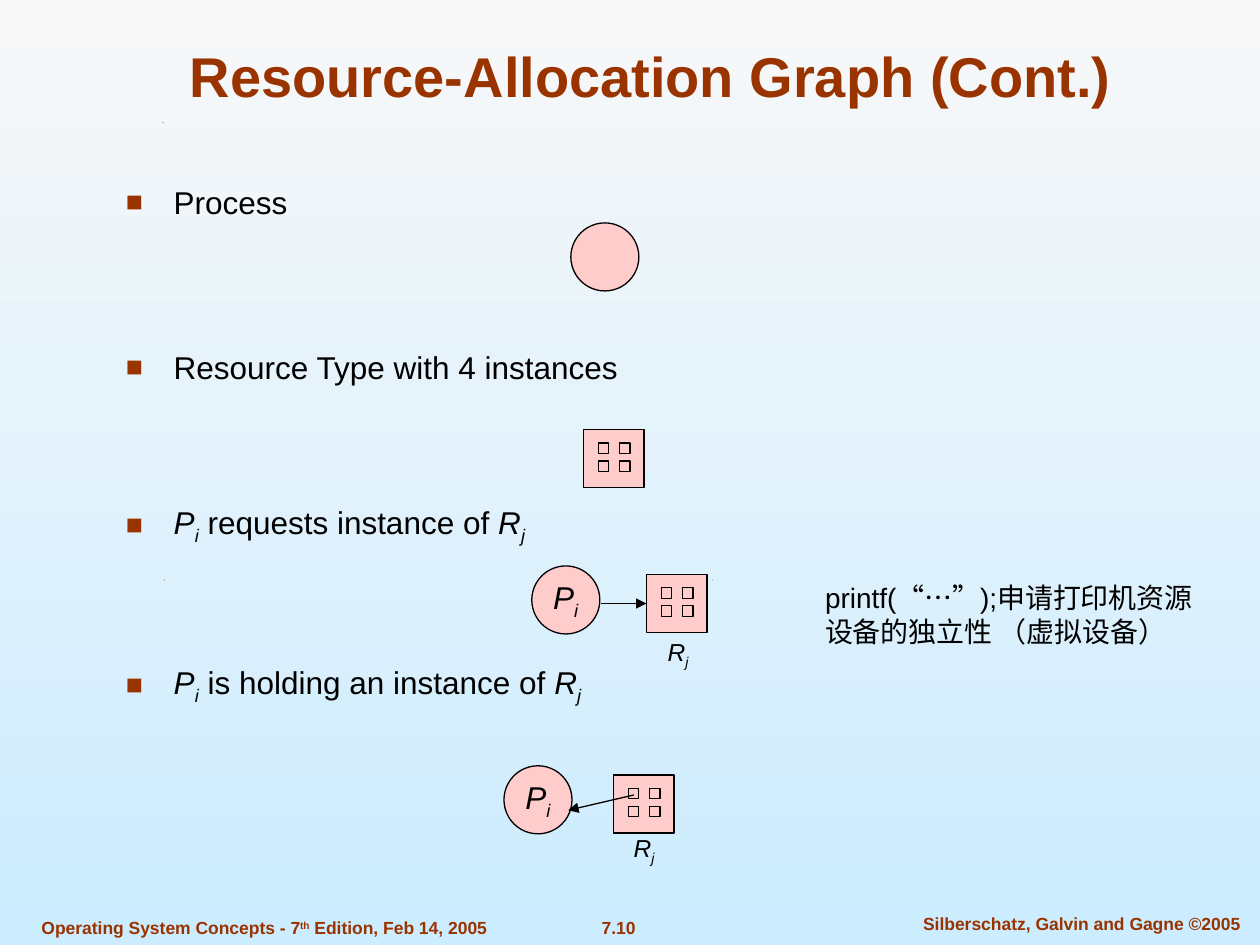
from lxml.etree import SubElement
from pptx import Presentation
from pptx.dml.color import RGBColor
from pptx.enum.shapes import MSO_CONNECTOR, MSO_SHAPE
from pptx.enum.text import MSO_ANCHOR, PP_ALIGN
from pptx.oxml.ns import qn
from pptx.util import Pt

COLORS = {"rust": "993300", "pink": "FFCCCC", "black": "000000",
          "sky_top": "F8F8F8", "sky_bottom": "CCECFF"}
CIRCLE = 38.9
BOX_WIDTH, BOX_HEIGHT = 34.6, 33.1
PROCESS = [("P", True, 0), ("i", True, -25)]
RESOURCE = [("R", True, 0), ("j", True, -25)]
BULLETS = [
    (0, [("Process", False, 0)]),
    (72.5, [("Resource Type with 4 instances", False, 0)]),
    (67.3, PROCESS + [(" requests instance of ", False, 0)] + RESOURCE),
    (66.7, PROCESS + [(" is holding an instance of ", False, 0)] + RESOURCE),
]


def color(name):
    """Return the named colour."""
    return RGBColor.from_string(COLORS[name])


def write(para, spans, size, ink="black", bold=False, align=PP_ALIGN.LEFT):
    """Write (text, italic, baseline) spans into a paragraph."""
    para.alignment = align
    for text, italic, baseline in spans:
        span = para.add_run()
        span.text = text
        values = {"name": "Arial", "size": Pt(size), "bold": bold, "italic": italic}
        for key, value in values.items():
            setattr(span.font, key, value)
        span.font.color.rgb = color(ink)
        if baseline:
            span.font._element.set("baseline", str(baseline * 1000))


def add_text(page, box, lines, size, wrap=False, anchor=MSO_ANCHOR.TOP, **look):
    """Add a text box with one paragraph per list of spans."""
    frame = page.shapes.add_textbox(*map(Pt, box)).text_frame
    frame.word_wrap = wrap
    frame.vertical_anchor = anchor
    for index, spans in enumerate(lines):
        para = frame.add_paragraph() if index else frame.paragraphs[0]
        write(para, spans, size, **look)
    return frame


def add_preset(shapes, kind, box):
    """Add a pink preset shape with a thin black outline."""
    shape = shapes.add_shape(kind, *map(Pt, box))
    shape.shadow.inherit = False
    shape.fill.solid()
    shape.fill.fore_color.rgb = color("pink")
    shape.line.color.rgb = color("black")
    shape.line.width = Pt(0.75)
    return shape


def add_process(page, left, top, spans=()):
    """Draw a process circle, labelled if spans are given."""
    circle = add_preset(page.shapes, MSO_SHAPE.OVAL, (left, top, CIRCLE, CIRCLE))
    frame = circle.text_frame
    frame.word_wrap = False
    frame.vertical_anchor = MSO_ANCHOR.MIDDLE
    write(frame.paragraphs[0], spans, 18, align=PP_ALIGN.CENTER)


def add_resource(page, left, top):
    """Draw a resource box holding a two by two grid of instances."""
    group = page.shapes.add_group_shape()
    frame = add_preset(group.shapes, MSO_SHAPE.RECTANGLE,
                       (left, top, BOX_WIDTH, BOX_HEIGHT))
    for row in range(2):
        for column in range(2):
            add_preset(group.shapes, MSO_SHAPE.RECTANGLE,
                       (left + 8.5 + 12.1 * column, top + 7.6 + 10.3 * row, 6, 6))
    return frame


def add_arrow(page, start, end):
    """Draw a thin black line with an arrowhead at its end."""
    arrow = page.shapes.add_connector(MSO_CONNECTOR.STRAIGHT, *map(Pt, start + end))
    arrow.line.color.rgb = color("black")
    arrow.line.width = Pt(0.75)
    SubElement(arrow.line._get_or_add_ln(), qn("a:tailEnd"), type="triangle")
    SubElement(arrow._element.spPr, qn("a:effectLst"))
    return arrow


def add_resource_label(page, left, top):
    """Label a resource box."""
    add_text(page, (left, top, 46, 26.6), [RESOURCE], 14,
             anchor=MSO_ANCHOR.MIDDLE, align=PP_ALIGN.CENTER)


def add_background(page):
    """Fill the page with a gradient from top to bottom."""
    fill = page.background.fill
    fill.gradient()
    fill.gradient_angle = 270
    for stop, name in zip(fill.gradient_stops, ("sky_top", "sky_bottom")):
        stop.color.rgb = color(name)


def add_specks(page):
    """Draw the tiny triangular specks of the page design."""
    for left, top in [(126.7, 390.7), (93.6, 331.2), (406.8, 331.2), (92.9, 69.8)]:
        builder = page.shapes.build_freeform(Pt(left), Pt(top + 0.5))
        builder.add_line_segments([(Pt(left + 0.5), Pt(top)),
                                   (Pt(left + 0.5), Pt(top + 0.5))])
        speck = builder.convert_to_shape()
        speck.shadow.inherit = False
        speck.fill.solid()
        speck.fill.fore_color.rgb = color("black")
        speck.line.fill.background()


def add_title(page, box):
    """Place and format the title."""
    title = page.shapes.title
    for key, value in zip(("left", "top", "width", "height"), box):
        setattr(title, key, Pt(value))
    title.text_frame.vertical_anchor = MSO_ANCHOR.BOTTOM
    write(title.text_frame.paragraphs[0],
          [("Resource-Allocation Graph (Cont.)", False, 0)], 32,
          ink="rust", bold=True, align=PP_ALIGN.CENTER)


def add_bullets(page, box):
    """Add the list of graph symbols, spaced to leave room for drawings."""
    frame = add_text(page, box, [spans for _, spans in BULLETS], 18, wrap=True)
    frame.margin_top = Pt(3.9)
    for para, (space, _) in zip(frame.paragraphs, BULLETS):
        para.space_before = Pt(space)
        props = para._p.get_or_add_pPr()
        props.set("marL", str(Pt(27.4)))
        props.set("indent", str(-Pt(27.4)))
        tint = SubElement(props, qn("a:buClr"))
        SubElement(tint, qn("a:srgbClr"), val=COLORS["rust"])
        SubElement(props, qn("a:buSzPct"), val="90000")
        SubElement(props, qn("a:buFont"), typeface="Arial")
        SubElement(props, qn("a:buChar"), char="■")


def add_request(page, left, top):
    """Draw a process that requests a resource."""
    add_process(page, left, top, PROCESS)
    resource = add_resource(page, left + 65.5, top + 4.9)
    middle = top + 4.9 + BOX_HEIGHT / 2
    arrow = add_arrow(page, (left + 39.6, middle), (left + 65.5, middle))
    arrow.end_connect(resource, 1)
    add_resource_label(page, left + 60.5, top + 36.6)


def add_holding(page, left, top):
    """Draw a process that holds an instance of a resource."""
    add_process(page, left, top, PROCESS)
    add_resource(page, left + 62.6, top + 5.3)
    add_arrow(page, (left + 74.2, top + 16.7), (left + 36.7, top + 25.4))
    add_resource_label(page, left + 57, top + 34.7)


def add_footer(page):
    """Add the book edition, page number and copyright line."""
    look = {"size": 10, "ink": "rust", "bold": True}
    edition = [("Operating System Concepts - 7", False, 0), ("th", False, 30),
               (" Edition, Feb 14, 2005", False, 0)]
    add_text(page, (16.6, 520.6, 290, 19.4), [edition], **look)
    add_text(page, (318.2, 520.6, 70.6, 19.4), [[("7.10", False, 0)]],
             align=PP_ALIGN.CENTER, **look)
    add_text(page, (511.2, 518.4, 213.8, 19.4),
             [[("Silberschatz, Galvin and Gagne ©2005", False, 0)]],
             wrap=True, align=PP_ALIGN.CENTER, **look)


def main():
    """Build and save the slide."""
    deck = Presentation()
    deck.slide_width, deck.slide_height = Pt(720), Pt(540)
    page = deck.slides.add_slide(deck.slide_layouts[5])
    add_background(page)
    add_specks(page)
    add_footer(page)
    add_title(page, (54, 17.5, 635.8, 48.2))
    add_bullets(page, (64.8, 100.8, 578.9, 352.8))
    add_process(page, 326.2, 127.4)
    add_resource(page, 333.4, 245.5)
    add_request(page, 303.9, 323.4)
    add_holding(page, 288, 437.6)
    add_text(page, (464.4, 328.3, 232.6, 46.1),
             [[("printf(“…”);申请打印机资源", False, 0)],
              [("设备的独立性 （虚拟设备）", False, 0)]], 16, wrap=True)
    deck.save("out.pptx")


if __name__ == "__main__":
    main()
